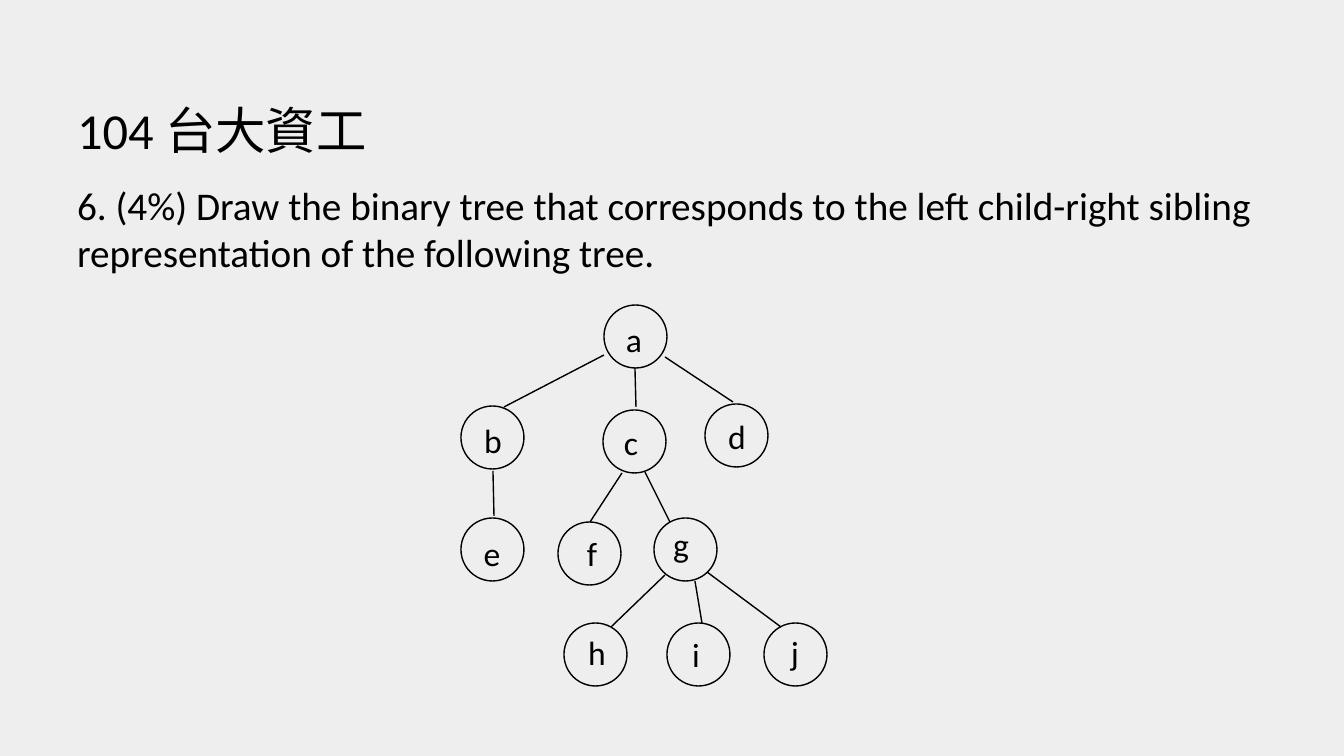
from pptx import Presentation
from pptx.dml.color import RGBColor
from pptx.enum.shapes import MSO_CONNECTOR as Connector, MSO_SHAPE as Shape
from pptx.enum.text import MSO_ANCHOR as Anchor, MSO_AUTO_SIZE as AutoSize, PP_ALIGN as Align
from pptx.oxml.ns import qn
from pptx.util import Pt
from lxml.etree import SubElement

BLACK = RGBColor(0x00, 0x00, 0x00)
PAPER = RGBColor(0xEE, 0xEE, 0xEE)
PX = 914400 / 100.8
NODE_SIZE = 63
LABEL_WIDTH, LABEL_HEIGHT = 38, 51

# Node letter: circle left and top, label centre and top
NODES = {
    "a": (604, 305, 634, 314),
    "b": (461, 406, 493, 415),
    "c": (603, 410, 631, 417),
    "d": (705, 404, 737, 411),
    "e": (461, 518, 492, 528),
    "f": (558, 522, 592, 528),
    "g": (654, 518, 681, 519),
    "h": (564, 623, 597, 627),
    "i": (667, 623, 696, 629),
    "j": (764, 623, 795, 627),
}

# Parent and child: start and end of the branch
BRANCHES = {
    "ab": (604, 355, 504, 407),
    "ac": (635, 368, 636, 407),
    "ad": (665, 357, 733, 402),
    "be": (493, 471, 494, 516),
    "cf": (622, 473, 590, 522),
    "cg": (645, 472, 670, 522),
    "gh": (665, 575, 611, 627),
    "gi": (695, 581, 702, 623),
    "gj": (707, 572, 781, 627),
}


def px(*lengths):
    return [round(length * PX) for length in lengths]


class TreeSlide:
    font_name = "Calibri"
    line_width = Pt(1)

    def __init__(self, presentation):
        self.slide = presentation.slides.add_slide(presentation.slide_layouts[1])
        fill = self.slide.background.fill
        fill.solid()
        fill.fore_color.rgb = PAPER

    def set_text(self, frame, text, size, align):
        paragraph = frame.paragraphs[0]
        paragraph.text = text
        paragraph.alignment = align
        paragraph.space_before = Pt(0)
        paragraph.font.name = self.font_name
        paragraph.font.size = Pt(size)
        paragraph.font.color.rgb = BLACK
        return paragraph

    def placeholder(self, shape, box, text, size, anchor):
        shape.left, shape.top, shape.width, shape.height = px(*box)
        frame = shape.text_frame
        frame.auto_size = AutoSize.NONE
        frame.vertical_anchor = anchor
        return self.set_text(frame, text, size, Align.LEFT)

    def title(self, box, text):
        self.placeholder(self.slide.shapes.title, box, text, 36, Anchor.BOTTOM)

    def body(self, box, text):
        paragraph = self.placeholder(self.slide.placeholders[1], box, text, 28, Anchor.TOP)
        properties = paragraph._p.get_or_add_pPr()
        properties.set("marL", "0")
        properties.set("indent", "0")
        properties.insert_element_before(
            properties.makeelement(qn("a:buNone")), "a:tabLst", "a:defRPr", "a:extLst")

    def outline(self, line):
        line.color.rgb = BLACK
        line.width = self.line_width

    def node(self, letter, left, top, label_centre, label_top):
        circle = self.slide.shapes.add_shape(Shape.OVAL, *px(left, top, NODE_SIZE, NODE_SIZE))
        circle.shadow.inherit = False
        circle.fill.background()
        self.outline(circle.line)
        label = self.slide.shapes.add_textbox(
            *px(label_centre - LABEL_WIDTH / 2, label_top, LABEL_WIDTH, LABEL_HEIGHT))
        label.text_frame.word_wrap = False
        self.set_text(label.text_frame, letter, 24, Align.CENTER)

    def branch(self, *ends):
        connector = self.slide.shapes.add_connector(Connector.STRAIGHT, *px(*ends))
        self.outline(connector.line)
        SubElement(connector._element.spPr, qn("a:effectLst"))


def main():
    presentation = Presentation()
    presentation.slide_width, presentation.slide_height = px(1344, 756)
    page = TreeSlide(presentation)

    # Question
    page.title((67, 39, 1210, 126), "104 台大資工")
    page.body((67, 176, 1210, 499),
              "6. (4%) Draw the binary tree that corresponds to the left child-right sibling "
              "representation of the following tree.")

    # Tree
    for letter, place in NODES.items():
        page.node(letter, *place)
    for ends in BRANCHES.values():
        page.branch(*ends)

    presentation.save("out.pptx")


if __name__ == "__main__":
    main()
